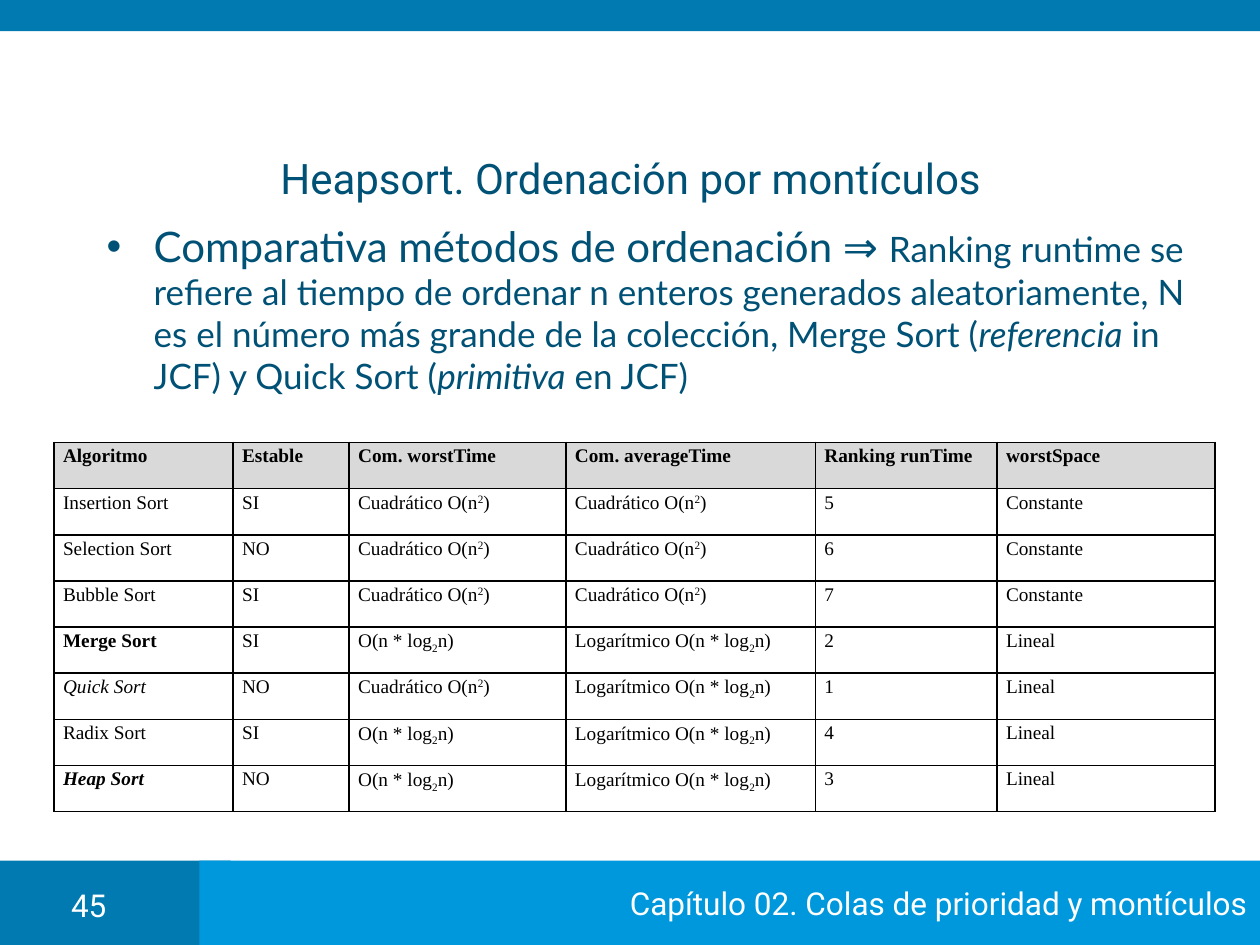
from dataclasses import dataclass

from lxml.etree import SubElement
from pptx import Presentation
from pptx.dml.color import RGBColor
from pptx.enum.shapes import MSO_SHAPE as Preset
from pptx.enum.text import MSO_ANCHOR as Anchor, PP_ALIGN as Align
from pptx.oxml import parse_xml
from pptx.oxml.ns import nsdecls, qn
from pptx.util import Cm, Pt


@dataclass(frozen=True)
class Theme:
    dark_blue: str = "007AB1"
    light_blue: str = "0098DC"
    ink: str = "005176"
    white: str = "FFFFFF"
    black: str = "000000"
    header_gray: str = "D9D9D9"
    heading_font: str = "Roboto"
    body_font: str = "Lato"
    table_font: str = "Times New Roman"
    title_size: int = 24
    body_size: int = 20
    footer_size: int = 18
    table_size: int = 11


class SlideBuilder:
    def __init__(self, page, theme):
        self.page = page
        self.theme = theme

    def add_spans(self, para, spans, font, size, color):
        """Add spans, each a text and a dict of font values; "baseline" is in percent."""
        for text, formats in spans:
            span = para.add_run()
            span.text = text
            values = {"name": font, "size": Pt(size)} | formats
            baseline = values.pop("baseline", None)
            for name, value in values.items():
                setattr(span.font, name, value)
            span.font.color.rgb = RGBColor.from_string(color)
            if baseline:
                span._r.get_or_add_rPr().set("baseline", str(baseline * 1000))

    def bar(self, left, top, width, height, color):
        box = self.page.shapes.add_shape(
            Preset.RECTANGLE, Cm(left), Cm(top), Cm(width), Cm(height))
        box.shadow.inherit = False
        box.fill.solid()
        box.fill.fore_color.rgb = RGBColor.from_string(color)
        box.line.fill.background()
        return box

    def footer(self, box, text):
        frame = box.text_frame
        frame.word_wrap = False
        frame.vertical_anchor = Anchor.MIDDLE
        para = frame.paragraphs[0]
        para.alignment = Align.RIGHT
        theme = self.theme
        self.add_spans(para, [(text, {})], theme.heading_font, theme.footer_size,
                       theme.white)

    def text(self, left, top, width, height, spans, font, size, color,
             align=Align.LEFT, anchor=Anchor.TOP):
        box = self.page.shapes.add_textbox(Cm(left), Cm(top), Cm(width), Cm(height))
        frame = box.text_frame
        frame.word_wrap = True
        frame.vertical_anchor = anchor
        para = frame.paragraphs[0]
        para.alignment = align
        self.add_spans(para, spans, font, size, color)
        return para

    def bullet(self, para, indent):
        props = para._p.get_or_add_pPr()
        props.set("marL", str(Cm(indent)))
        props.set("indent", str(-Cm(indent)))
        SubElement(props, qn("a:buFont"), typeface="Arial")
        SubElement(props, qn("a:buChar"), char="•")

    def borders(self, cell):
        props = cell._tc.get_or_add_tcPr()
        for position, side in enumerate("LRTB"):
            props.insert(position, parse_xml(
                f'<a:ln{side} {nsdecls("a")} w="{Pt(1)}"><a:solidFill>'
                f'<a:srgbClr val="{self.theme.black}"/></a:solidFill></a:ln{side}>'))

    def cell(self, cell, spans, is_header):
        theme = self.theme
        margins = {"margin_left": Cm(0.18), "margin_right": Cm(0.18),
                   "margin_top": 0, "margin_bottom": 0}
        for name, value in margins.items():
            setattr(cell, name, value)
        if is_header:
            cell.fill.solid()
            cell.fill.fore_color.rgb = RGBColor.from_string(theme.header_gray)
        else:
            cell.fill.background()
        self.borders(cell)
        para = cell.text_frame.paragraphs[0]
        para.line_spacing = 1.15
        self.add_spans(para, spans, theme.table_font, theme.table_size, theme.black)

    def table(self, left, top, widths, row_height, rows):
        """Draw rows of cells, each a list of spans; the first row is the header."""
        grid = self.page.shapes.add_table(
            len(rows), len(widths), Cm(left), Cm(top),
            Cm(sum(widths)), Cm(row_height * len(rows))).table
        grid.first_row = grid.horz_banding = False
        for column, width in zip(grid.columns, widths):
            column.width = Cm(width)
        for row_index, row in enumerate(rows):
            grid.rows[row_index].height = Cm(row_height)
            for column_index, spans in enumerate(row):
                self.cell(grid.cell(row_index, column_index), spans, row_index == 0)


BOLD, ITALIC = {"bold": True}, {"italic": True}
QUADRATIC = [("Cuadrático O(n", {}), ("2", {"baseline": 30}), (")", {})]
LOG_TAIL = [("2", {"baseline": -25}), ("n)", {})]
LINEARITHMIC = [("O(n * log", {}), *LOG_TAIL]
LOGARITHMIC = [("Logarítmico O(n * log", {}), *LOG_TAIL]

HEADERS = ["Algoritmo", "Estable", "Com. worstTime", "Com. averageTime",
           "Ranking runTime", "worstSpace"]
ALGORITHMS = [
    ("Insertion Sort", {}, "SI", QUADRATIC, QUADRATIC, "5", "Constante"),
    ("Selection Sort", {}, "NO", QUADRATIC, QUADRATIC, "6", "Constante"),
    ("Bubble Sort", {}, "SI", QUADRATIC, QUADRATIC, "7", "Constante"),
    ("Merge Sort", BOLD, "SI", LINEARITHMIC, LOGARITHMIC, "2", "Lineal"),
    ("Quick Sort", ITALIC, "NO", QUADRATIC, LOGARITHMIC, "1", "Lineal"),
    ("Radix Sort", {}, "SI", LINEARITHMIC, LOGARITHMIC, "4", "Lineal"),
    ("Heap Sort", BOLD | ITALIC, "NO", LINEARITHMIC, LOGARITHMIC, "3", "Lineal"),
]


def main():
    deck = Presentation()
    deck.slide_width, deck.slide_height = Cm(25.4), Cm(19.05)
    theme = Theme()
    slide = SlideBuilder(deck.slides.add_slide(deck.slide_layouts[6]), theme)

    slide.bar(0, 17.35, 4.65, 1.7, theme.dark_blue)
    footer_bar = slide.bar(4.02, 17.35, 21.38, 1.7, theme.light_blue)
    slide.footer(footer_bar, "Capítulo 02. Colas de prioridad y montículos")
    slide.bar(0, 0, 25.4, 0.63, theme.dark_blue)
    slide.text(0.89, 17.73, 1.8, 0.81, [("45", {})], theme.heading_font,
               theme.footer_size, theme.white, Align.CENTER)

    slide.text(2.11, 3.05, 21.21, 1.07, [("Heapsort. Ordenación por montículos", {})],
               theme.heading_font, theme.title_size, theme.ink,
               Align.CENTER, Anchor.MIDDLE)
    comparison = [
        ("Comparativa métodos de ordenación ⇒ ", {"size": Pt(theme.title_size)}),
        ("Ranking runtime se refiere al tiempo de ordenar n enteros generados "
         "aleatoriamente, N es el número más grande de la colección, Merge Sort (", {}),
        ("referencia", ITALIC),
        (" in JCF) y Quick Sort (", {}),
        ("primitiva", ITALIC),
        (" en JCF)", {}),
    ]
    para = slide.text(1.9, 4.32, 22.9, 13, comparison, theme.body_font,
                      theme.body_size, theme.ink)
    slide.bullet(para, 0.95)

    rows = [[[(header, BOLD)] for header in HEADERS]]
    for name, style, stable, worst, average, ranking, space in ALGORITHMS:
        rows.append([[(name, style)], [(stable, {})], worst, average,
                     [(ranking, {})], [(space, {})]])
    slide.table(1.09, 8.92, [3.61, 2.34, 4.37, 5.03, 3.66, 4.39], 0.93, rows)

    deck.save("out.pptx")


if __name__ == "__main__":
    main()
